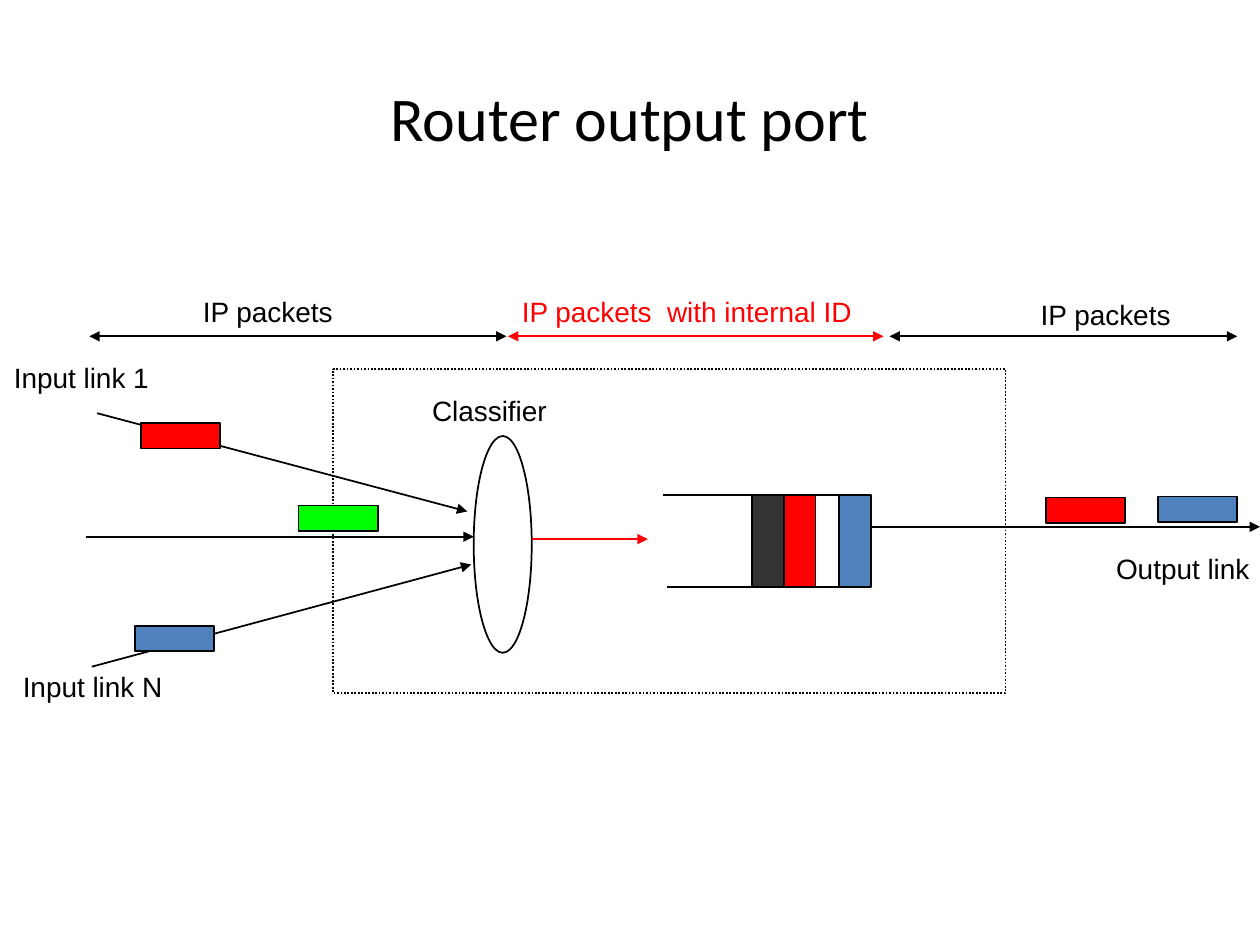
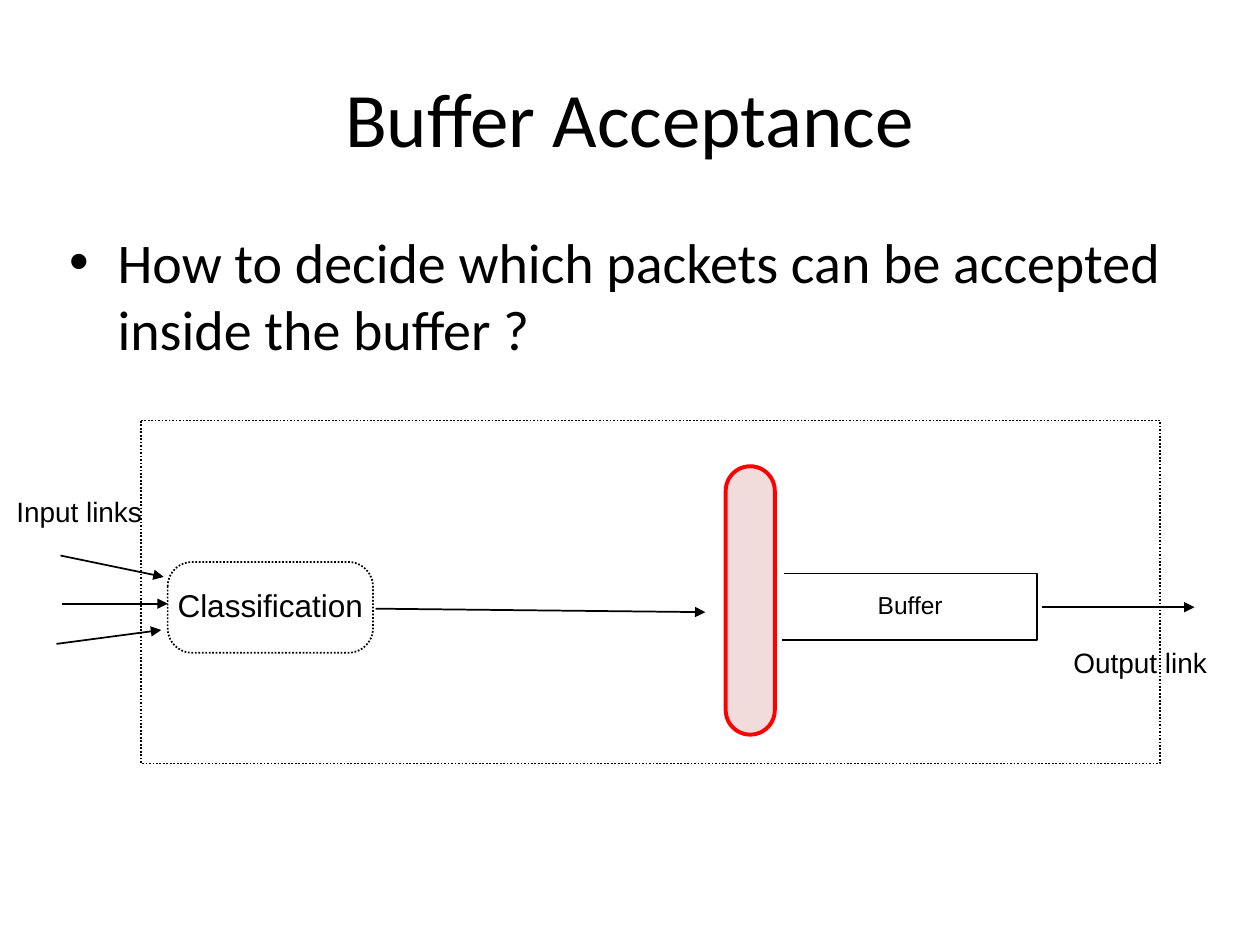
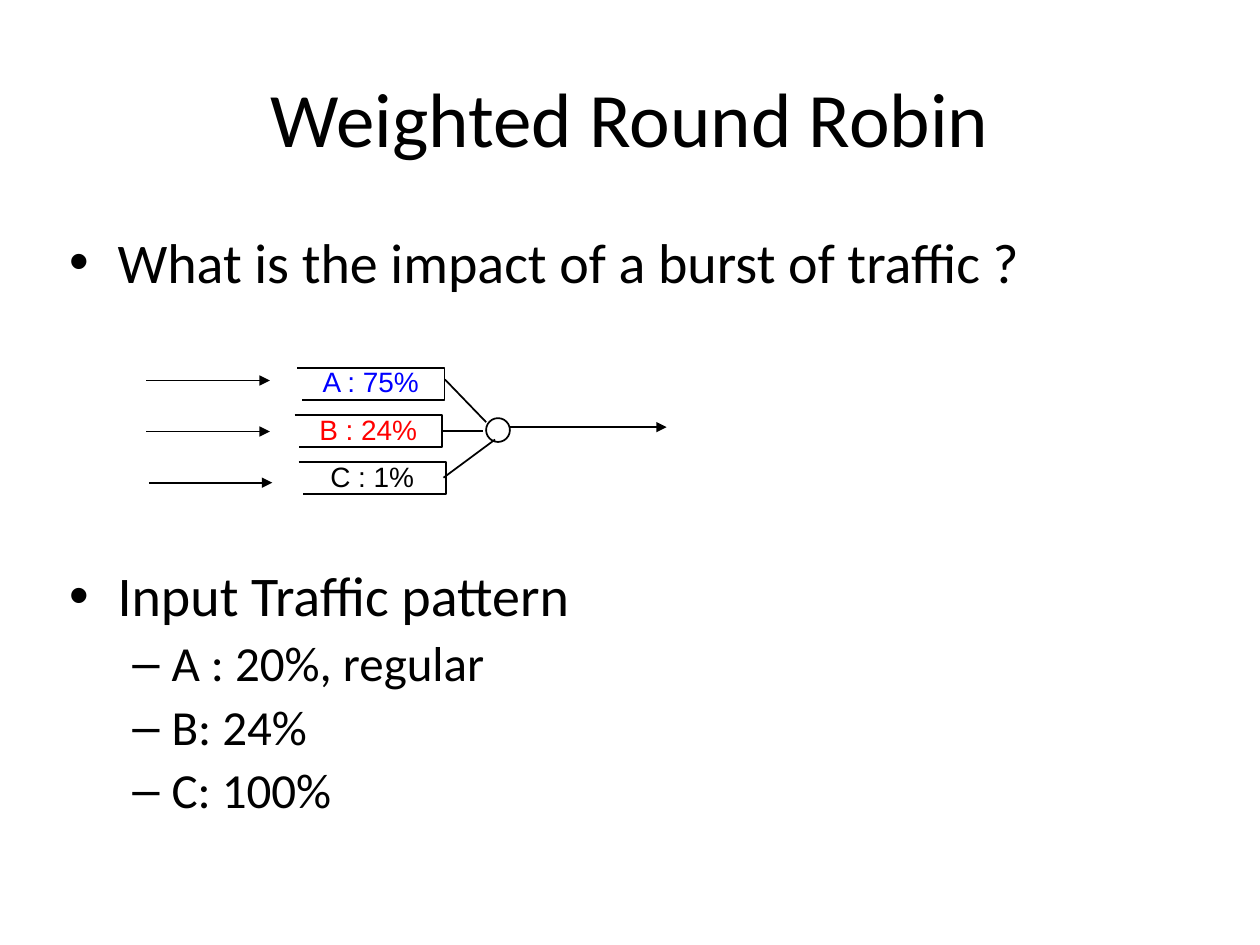
from dataclasses import dataclass

from lxml.etree import SubElement
from pptx import Presentation
from pptx.dml.color import RGBColor
from pptx.enum.dml import MSO_LINE_DASH_STYLE as Dash
from pptx.enum.shapes import MSO_CONNECTOR_TYPE as Connector, MSO_SHAPE as Preset
from pptx.enum.text import MSO_ANCHOR as Anchor, MSO_AUTO_SIZE as AutoSize, PP_ALIGN as Align
from pptx.oxml.ns import qn
from pptx.slide import Slide
from pptx.util import Cm, Pt

BLACK, RED, BLUE = "000000", "FF0000", "4F81BD"
GREEN, GREY, PINK, INK_BLUE = "00FF00", "333333", "F2DCDB", "0000FF"
HEADING_FONT, LABEL_FONT = "Calibri", "Arial"
PACKET_SIZE = (1.6, 0.51)
SLOT_SIZE = (0.64, 1.85)


@dataclass(frozen=True)
class Label:
    """A short diagram caption."""
    text: str
    left: float
    top: float
    width: float
    color: str = BLACK
    size: float = 16
    height: float = 0.66
    centred: bool = False


@dataclass(frozen=True)
class Link:
    """A straight line with optional arrowheads."""
    x1: float
    y1: float
    x2: float
    y2: float
    color: str = BLACK
    ends: tuple[str, ...] = ("tailEnd",)


@dataclass(frozen=True)
class Block:
    """A preset shape with an outline."""
    left: float
    top: float
    width: float
    height: float
    fill: str | None = None
    corner: float = 0
    line: str = BLACK
    weight: float = 1
    dotted: bool = False
    preset: Preset = Preset.ROUNDED_RECTANGLE


@dataclass(frozen=True)
class Queue:
    """A buffer outline that is open on its left side."""
    left: float
    top: float
    width: float
    height: float
    inset: float


@dataclass(frozen=True)
class Bullet:
    """The look of one bullet level."""
    mark: str
    size: float
    left: float
    hang: float
    before: float


LEVELS = (Bullet("•", 32, 0.97, 0.97, 7), Bullet("–", 28, 2.06, 0.79, 6))


def rgb(color: str) -> RGBColor:
    """Turn a hex string into a colour."""
    return RGBColor.from_string(color)


def set_font(para, name: str, size: float, color: str = BLACK) -> None:
    """Set the font of a whole paragraph."""
    para.font.name = name
    para.font.size = Pt(size)
    para.font.color.rgb = rgb(color)


def add_text_box(page: Slide, left: float, top: float, width: float, height: float,
                 margin: float = 0.13, anchor: Anchor = Anchor.TOP):
    """Add a wrapping text box and return its frame."""
    box = page.shapes.add_textbox(Cm(left), Cm(top), Cm(width), Cm(height))
    frame = box.text_frame
    frame.word_wrap = True
    frame.vertical_anchor = anchor
    frame.margin_left = frame.margin_right = Cm(margin)
    frame.margin_top = frame.margin_bottom = Cm(margin)
    return frame


def add_page(deck, title: str, size: float = 44) -> Slide:
    """Add a blank page with the shared title style."""
    page = deck.slides.add_slide(deck.slide_layouts[6])
    para = add_text_box(page, 1.27, 0.76, 22.86, 3.18, anchor=Anchor.MIDDLE).paragraphs[0]
    para.text = title
    para.alignment = Align.CENTER
    set_font(para, HEADING_FONT, size)
    return page


def add_bullets(page: Slide, items: list[tuple[int, str]], top: float, height: float,
                spacing: float = 1.0) -> None:
    """Write bulleted lines given as level and text."""
    frame = add_text_box(page, 1.27, top, 22.86, height)
    for index, (level, text) in enumerate(items):
        style = LEVELS[level]
        para = frame.add_paragraph() if index else frame.paragraphs[0]
        para.text = text
        para.level = level
        para.line_spacing = spacing
        if index:
            para.space_before = Pt(style.before)
        props = para._p.get_or_add_pPr()
        props.set("marL", str(Cm(style.left)))
        props.set("indent", str(-Cm(style.hang)))
        SubElement(props, qn("a:buFont"), typeface="Arial")
        SubElement(props, qn("a:buChar"), char=style.mark)
        set_font(para, HEADING_FONT, style.size)


def add_label(page: Slide, label: Label) -> None:
    """Write a caption."""
    anchor = Anchor.MIDDLE if label.centred else Anchor.TOP
    frame = add_text_box(page, label.left, label.top, label.width, label.height, 0, anchor)
    para = frame.paragraphs[0]
    para.text = label.text
    para.line_spacing = 0.84
    if label.centred:
        para.alignment = Align.CENTER
    else:
        frame.word_wrap = False
        frame.auto_size = AutoSize.SHAPE_TO_FIT_TEXT
    set_font(para, LABEL_FONT, label.size, label.color)


def add_link(page: Slide, link: Link) -> None:
    """Draw a line with its arrowheads."""
    connector = page.shapes.add_connector(
        Connector.STRAIGHT, Cm(link.x1), Cm(link.y1), Cm(link.x2), Cm(link.y2))
    connector.line.color.rgb = rgb(link.color)
    connector.line.width = Pt(1)
    outline = connector.line._get_or_add_ln()
    for end in link.ends:
        SubElement(outline, qn(f"a:{end}"), type="triangle")
    SubElement(connector._element.spPr, qn("a:effectLst"))


def add_block(page: Slide, block: Block) -> None:
    """Draw a preset shape."""
    shape = page.shapes.add_shape(
        block.preset, Cm(block.left), Cm(block.top), Cm(block.width), Cm(block.height))
    shape.shadow.inherit = False
    if block.preset == Preset.ROUNDED_RECTANGLE:
        shape.adjustments[0] = block.corner
    if block.fill:
        shape.fill.solid()
        shape.fill.fore_color.rgb = rgb(block.fill)
    else:
        shape.fill.background()
    shape.line.color.rgb = rgb(block.line)
    shape.line.width = Pt(block.weight)
    if block.dotted:
        shape.line.dash_style = Dash.ROUND_DOT


def add_queue(page: Slide, queue: Queue) -> None:
    """Draw a buffer outline."""
    right, bottom = queue.left + queue.width, queue.top + queue.height
    builder = page.shapes.build_freeform(Cm(queue.left), Cm(queue.top))
    corners = ((right, queue.top), (right, bottom), (queue.left + queue.inset, bottom))
    builder.add_line_segments([(Cm(x), Cm(y)) for x, y in corners], close=False)
    shape = builder.convert_to_shape()
    shape.shadow.inherit = False
    shape.fill.background()
    shape.line.color.rgb = rgb(BLACK)
    shape.line.width = Pt(1)


DRAWERS = {Label: add_label, Link: add_link, Block: add_block, Queue: add_queue}


def draw(page: Slide, *parts: Label | Link | Block | Queue) -> None:
    """Draw the parts from back to front."""
    for part in parts:
        DRAWERS[type(part)](page, part)


def build_router_port(deck) -> None:
    """Build the router output port page."""
    page = add_page(deck, "Router output port", 35.5)
    slots = ((16.92, BLUE), (15.8, RED), (15.16, GREY))
    packets = ((2.72, 12.62, BLUE), (23.34, 10.01, BLUE), (6.02, 10.19, GREEN),
               (2.84, 8.53, RED), (21.08, 10.03, RED))
    stages = ((1.8, 10.21, BLACK), (10.24, 17.81, RED), (17.93, 24.94, BLACK))
    draw(
        page,
        Queue(13.36, 9.98, 4.19, 1.85, 0.08),
        Block(6.71, 7.44, 13.56, 6.53, dotted=True),
        Link(1.85, 13.44, 9.5, 11.38),
        Link(1.73, 10.82, 9.55, 10.82),
        Link(1.96, 8.33, 9.42, 10.31),
        Link(17.58, 10.62, 25.4, 10.62),
        *(Block(left, 9.98, *SLOT_SIZE, fill) for left, fill in slots),
        *(Block(left, top, *PACKET_SIZE, fill) for left, top, fill in packets),
        Block(9.55, 8.79, 1.17, 4.37, preset=Preset.OVAL),
        Link(10.72, 10.87, 13.06, 10.87, RED),
        *(Link(start, 6.78, stop, 6.78, color, ("headEnd", "tailEnd"))
          for start, stop, color in stages),
        Label("Output link", 22.5, 11.23, 2.74),
        Label("Input link 1", 0.28, 7.37, 2.77),
        Label("Input link N", 0.46, 13.61, 2.87),
        Label("Classifier", 8.71, 8.05, 2.36),
        Label("IP packets", 4.09, 6.05, 2.67),
        Label("IP packets", 20.98, 6.1, 2.67),
        Label("IP packets  with internal ID", 10.52, 6.05, 6.71, RED),
    )


def build_buffer_acceptance(deck) -> None:
    """Build the buffer acceptance page."""
    page = add_page(deck, "Buffer Acceptance")
    question = "How to decide which packets can be accepted inside the buffer ?"
    add_bullets(page, [(0, question)], 4.45, 12.57)
    draw(
        page,
        Queue(15.8, 11.56, 5.1, 1.34, -0.03),
        Label("Buffer", 15.77, 11.94, 5.16, size=14, height=0.61, centred=True),
        Block(3.38, 11.33, 4.14, 1.83, corner=0.27, dotted=True),
        Label("Classification", 3.53, 11.86, 3.84, size=18, height=0.79, centred=True),
        Link(1.24, 12.17, 3.38, 12.17),
        Link(1.22, 11.2, 3.3, 11.63),
        Link(1.14, 12.98, 3.25, 12.7),
        Block(14.63, 9.4, 0.99, 5.41, PINK, 0.5, RED, 2.25),
        Link(21.01, 12.24, 24.08, 12.24),
        Link(7.57, 12.27, 14.22, 12.34),
        Block(2.84, 8.48, 20.55, 6.91, dotted=True),
        Label("Input links", 0.33, 10.08, 2.57),
        Label("Output link", 21.64, 13.13, 2.74),
    )


def build_round_robin(deck) -> None:
    """Build the weighted round robin page."""
    page = add_page(deck, "Weighted Round Robin")
    add_bullets(page, [(0, "What is the impact of a burst of traffic ?")], 4.45, 12.57)
    flows = (("A : 75%", INK_BLUE, 5.99, 2.95),
             ("B : 24%", RED, 5.94, 2.95),
             ("C : 1%", BLACK, 6.02, 3.0))
    for row, (text, color, left, start) in enumerate(flows):
        top, arrow_y = 7.42 + 0.95 * row, 7.67 + 1.03 * row
        draw(
            page,
            Queue(left, top, 2.97, 0.64, 0.09),
            Label(text, left, top, 2.97, color, centred=True),
            Link(start, arrow_y, start + 2.49, arrow_y),
        )
    draw(
        page,
        Block(9.8, 8.43, 0.48, 0.48, preset=Preset.OVAL),
        Link(8.97, 7.65, 9.8, 8.51, ends=()),
        Link(8.94, 8.69, 9.73, 8.69, ends=()),
        Link(8.94, 9.63, 9.98, 8.86, ends=()),
        Link(10.26, 8.61, 13.44, 8.61),
    )
    pattern = [(0, "Input Traffic pattern"), (1, "A : 20%, regular"),
               (1, "B: 24%"), (1, "C: 100%")]
    add_bullets(page, pattern, 11.33, 5.69, 0.9)


def main() -> None:
    """Build and save the deck."""
    deck = Presentation()
    deck.slide_width, deck.slide_height = Cm(25.4), Cm(19.05)
    build_router_port(deck)
    build_buffer_acceptance(deck)
    build_round_robin(deck)
    deck.save("out.pptx")


if __name__ == "__main__":
    main()
